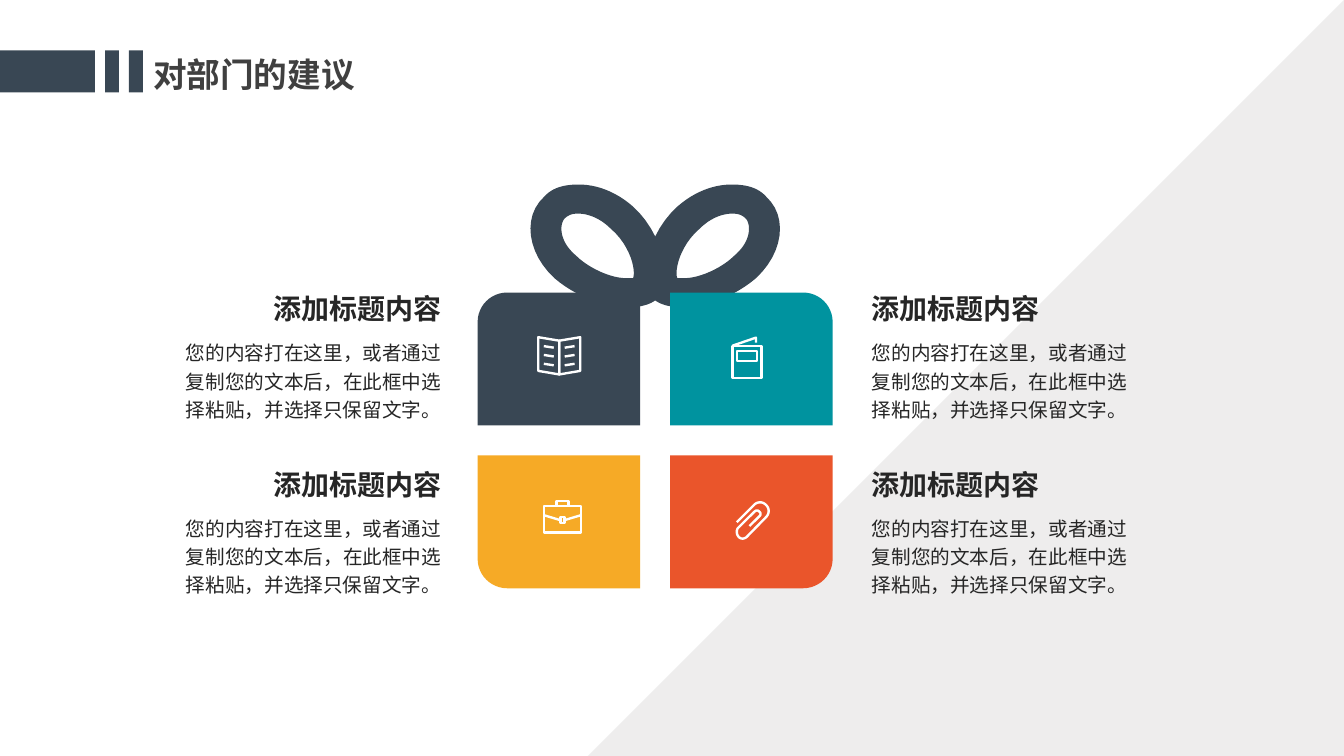
from dataclasses import dataclass

from lxml import etree
from pptx import Presentation
from pptx.dml.color import RGBColor
from pptx.enum import shapes as kinds, text as txt
from pptx.oxml.ns import qn
from pptx.util import Pt

HEX = {"slate": "394754", "teal": "00939F", "amber": "F6AA26", "red": "EA552B",
       "mist": "E7E6E6", "white": "FFFFFF", "title": "404040", "ink": "262626"}
SANS = "Noto Sans CJK SC"
HEAD = "添加标题内容"
BODY = "您的内容打在这里，或者通过复制您的文本后，在此框中选择粘贴，并选择只保留文字。"
MID_X, MID_Y = 468, 314.6
GAP, WIDE, TALL, ROUND = 10.7, 126.8, 105.6, 21
STEPS = 12

# A path starts with a point; a pair is a line, six numbers are a cubic curve.
Path = list[tuple[float, ...]]


@dataclass
class Part:
    """A quarter of the gift; sx and sy are its side of the centre."""
    sx: int
    sy: int
    color: str
    icon: list[Path]


@dataclass
class Font:
    size: float
    color: str
    face: str = SANS
    bold: bool = False


def box(left: float, top: float, right: float, low: float) -> Path:
    return [(left, top), (right, top), (right, low), (left, low), (left, top)]


def flip(path: Path, axis: float) -> Path:
    return [tuple(2 * axis - n if i % 2 == 0 else n for i, n in enumerate(step))
            for step in path]


def trace(path: Path) -> list[tuple[int, int]]:
    """Turn lines and curves into points in EMU."""
    dots = [path[0]]
    for step in path[1:]:
        if len(step) == 2:
            dots.append(step)
            continue
        ends = [dots[-1], step[:2], step[2:4], step[4:]]
        for i in range(1, STEPS + 1):
            t = i / STEPS
            part = ((1 - t) ** 3, 3 * t * (1 - t) ** 2, 3 * t * t * (1 - t), t ** 3)
            dots.append(tuple(sum(w * e[k] for w, e in zip(part, ends))
                              for k in (0, 1)))
    return [(Pt(x), Pt(y)) for x, y in dots]


def paint(shape, color: str) -> None:
    shape.shadow.inherit = False
    shape.fill.solid()
    shape.fill.fore_color.rgb = RGBColor.from_string(HEX[color])
    shape.line.fill.background()


def outline(slide, paths: list[Path]):
    """Build one free shape with a contour for each path."""
    first, *rest = [trace(p) for p in paths]
    pen = slide.shapes.build_freeform(*first[0], scale=1.0)
    pen.add_line_segments(first[1:], close=first[0] == first[-1])
    for dots in rest:
        pen.move_to(*dots[0])
        pen.add_line_segments(dots[1:], close=dots[0] == dots[-1])
    return pen.convert_to_shape()


def sketch(slide, paths: list[Path]) -> None:
    icon = outline(slide, paths)
    icon.shadow.inherit = False
    icon.fill.background()
    icon.line.color.rgb = RGBColor.from_string(HEX["white"])
    icon.line.width = Pt(1.7)


def block(slide, kind, left: float, top: float, width: float, high: float, color: str):
    shape = slide.shapes.add_shape(kind, Pt(left), Pt(top), Pt(width), Pt(high))
    paint(shape, color)
    return shape


def write(shape, words: str, font: Font, align, space: float, wrap: bool = True) -> None:
    frame = shape.text_frame
    frame.word_wrap = wrap
    frame.auto_size = txt.MSO_AUTO_SIZE.SHAPE_TO_FIT_TEXT
    frame.vertical_anchor = txt.MSO_ANCHOR.TOP
    para = frame.paragraphs[0]
    para.alignment, para.line_spacing = align, space
    run = para.add_run()
    run.text = words
    run.font.size, run.font.bold, run.font.name = Pt(font.size), font.bold, font.face
    run.font.color.rgb = RGBColor.from_string(HEX[font.color])
    east = etree.SubElement(run.font._element, qn("a:ea"))
    east.set("typeface", font.face)


def place(shape, left: float, top: float, width: float, high: float) -> None:
    shape.left, shape.top = Pt(left), Pt(top)
    shape.width, shape.height = Pt(width), Pt(high)


def note(slide, part: Part) -> None:
    """Write the heading and body beside a part of the gift."""
    right = part.sx > 0
    align = txt.PP_ALIGN.LEFT if right else txt.PP_ALIGN.RIGHT
    top = 200.2 if part.sy < 0 else 325.6
    for words, font, drop, width, high in (
            (BODY, Font(14, "ink"), 36.7, 206, 68.4),
            (HEAD, Font(20, "ink", bold=True), 0, 185.8, 36)):
        left = 615.6 if right else 322.4 - width
        area = slide.shapes.add_textbox(Pt(left), Pt(top + drop), Pt(width), Pt(high))
        write(area, words, font, align, 1.2)


def quarter(part: Part) -> Path:
    """Outline a box whose outer corner is round."""
    bend = ROUND * 0.45
    plain = [(GAP, GAP), (WIDE, GAP), (WIDE, TALL - ROUND),
             (WIDE, TALL - bend, WIDE - bend, TALL, WIDE - ROUND, TALL),
             (GAP, TALL), (GAP, GAP)]
    return [tuple(MID_X + part.sx * n if i % 2 == 0 else MID_Y + part.sy * n
                  for i, n in enumerate(step)) for step in plain]


LOOP = [
    [(522.7, 131.8), (509.8, 131.8, 496.1, 136.8, 483.8, 147.6),
     (464.4, 164.9, 453.6, 198.7, 468, 214.6),
     (473, 218.2, 480.2, 219.6, 488.9, 219.6),
     (504.7, 219.6, 525.6, 211, 540, 198.7),
     (559.4, 180.7, 563, 154.8, 547.2, 140.4),
     (541.4, 133.9, 532.8, 131.8, 522.7, 131.8)],
    [(522.7, 152.6), (525.6, 152.6, 529.2, 152.6, 532.8, 156.2),
     (532.8, 156.2, 535, 158.4, 535, 163.4),
     (535, 168.5, 532.8, 175.7, 524.2, 182.9),
     (515.5, 191.5, 499.7, 198.7, 488.9, 198.7),
     (485.3, 198.7, 483.8, 198.7, 483.8, 198.7),
     (481.7, 193.7, 485.3, 175.7, 499.7, 163.4),
     (506.9, 156.2, 515.5, 152.6, 522.7, 152.6)]]
SPINE = 399.5
PAGE = [[(SPINE, 243.4), (384.5, 240.9), (384.5, 265), (SPINE, 267.5), (SPINE, 243.4)],
        *[[(388.5, 247.3 + 6.3 * i), (395.6, 248.4 + 6.3 * i)] for i in range(3)]]
BOOK = PAGE + [flip(p, SPINE) for p in PAGE]
FOLDER = [box(523.1, 247, 544, 270), box(526.3, 250.6, 540.7, 257.8),
          [(523.1, 247), (540, 241.2), (540, 244.8)]]
STRAP = [(388.4, 368), (400.4, 371.6)]
CASE = [box(388.4, 361.4, 415.1, 380.5), box(397.6, 357.8, 406, 361.4),
        box(400.3, 369.4, 403.2, 373.7), STRAP, flip(STRAP, 401.75)]
CLIP = [[(526.3, 373), (538.6, 360.7), (541.1, 358.2, 544.7, 358.2, 547.2, 360.7),
         (549.7, 363.2, 549.7, 366.8, 547.2, 369.4), (533.5, 383.4),
         (531.7, 385.2, 528.8, 385.2, 527.4, 383.2),
         (526, 381.6, 526, 378.7, 527, 377.3), (538.6, 365.8),
         (540, 364.3, 541.4, 364.3, 542.5, 365.6),
         (543.6, 366.5, 543.6, 367.9, 542.2, 369), (535.3, 375.8)]]
PARTS = [Part(1, -1, "teal", FOLDER), Part(1, 1, "red", CLIP),
         Part(-1, -1, "slate", BOOK), Part(-1, 1, "amber", CASE)]


def main() -> None:
    deck = Presentation()
    deck.slide_width, deck.slide_height = Pt(960), Pt(540)
    slide = deck.slides.add_slide(deck.slide_layouts[5])
    kind = kinds.MSO_SHAPE

    wedge = block(slide, kind.RIGHT_TRIANGLE, 420, 0, 540, 540, "mist")
    wedge.rotation = 270
    tint = wedge.fill._xPr.find(qn("a:solidFill"))[0]
    etree.SubElement(tint, qn("a:alpha")).set("val", "70000")

    for left, width in ((0, 67.8), (75, 10), (92, 10)):
        block(slide, kind.RECTANGLE, left, 36, width, 30, "slate")
    title = slide.shapes.title
    place(title, 102.2, 34.6, 160, 36)
    write(title, "对部门的建议", Font(24, "title", "Arial", True),
          txt.PP_ALIGN.LEFT, 1.0, wrap=False)

    for loop in (LOOP, [flip(p, MID_X) for p in LOOP]):
        paint(outline(slide, loop), "slate")
    for part in PARTS:
        paint(outline(slide, [quarter(part)]), part.color)
        sketch(slide, part.icon)
        note(slide, part)
    deck.save("out.pptx")


if __name__ == "__main__":
    main()
